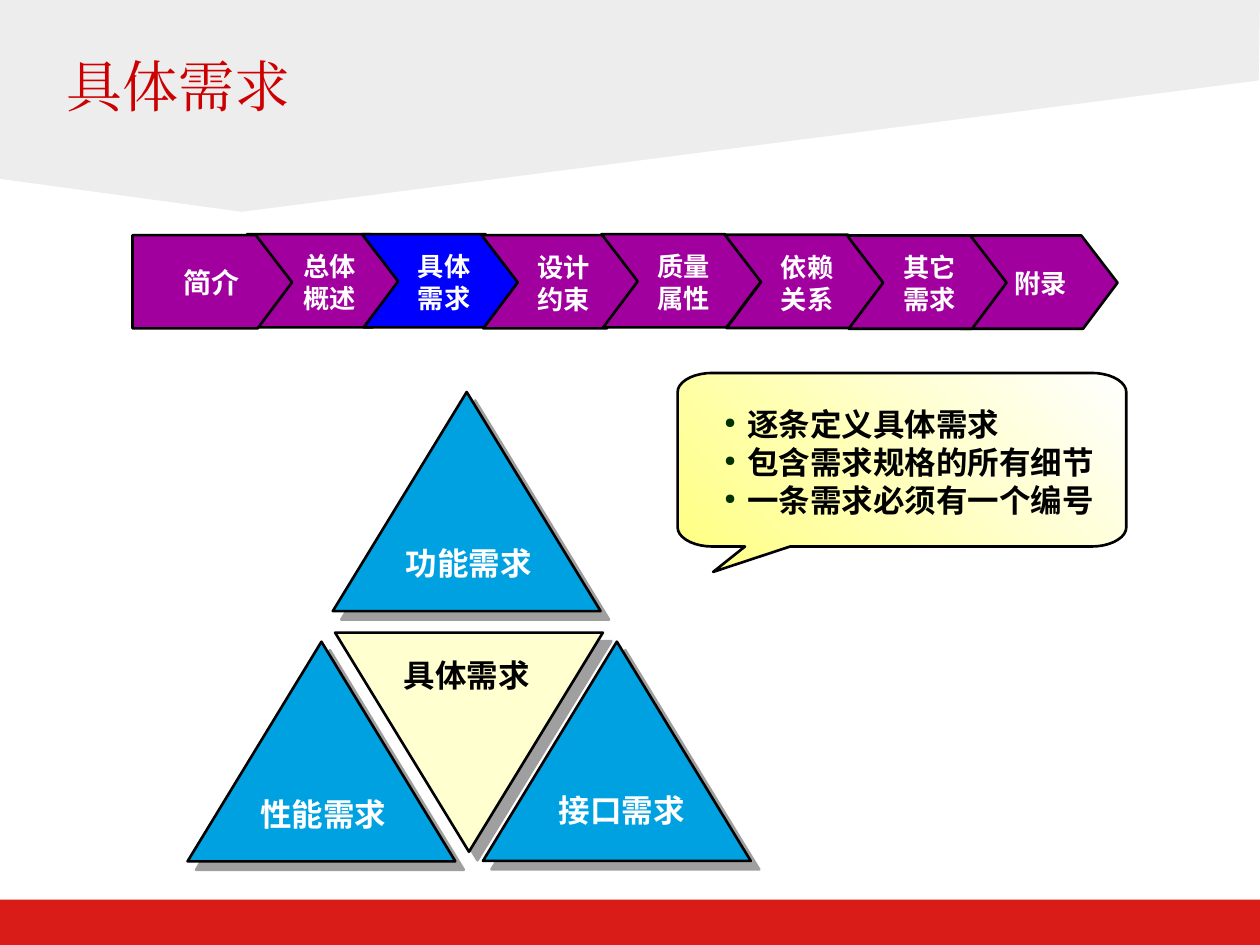
from math import cos, radians, sin

from lxml import etree
from pptx import Presentation
from pptx.dml.color import RGBColor
from pptx.enum.shapes import MSO_SHAPE as Preset
from pptx.enum.text import MSO_ANCHOR as Anchor, PP_ALIGN as Align
from pptx.oxml.ns import qn
from pptx.util import Pt

WHITE = RGBColor(0xFF, 0xFF, 0xFF)
BLACK = RGBColor(0x00, 0x00, 0x00)
RED = RGBColor(0xD9, 0x1C, 0x17)
TITLE_RED = RGBColor(0xCC, 0x00, 0x00)
GREY = RGBColor(0xED, 0xED, 0xEE)
SKY = RGBColor(0x00, 0xA1, 0xE0)
CREAM = RGBColor(0xFF, 0xFF, 0xD0)
PURPLE = RGBColor(0xA1, 0x00, 0x9F)
BLUE = RGBColor(0x00, 0x00, 0xFF)
YELLOW = RGBColor(0xFF, 0xFF, 0x80)
SANS = "Noto Sans CJK SC"
SERIF = "Times New Roman"

deck = Presentation()
deck.slide_width, deck.slide_height = Pt(720), Pt(540)
page = deck.slides.add_slide(deck.slide_layouts[6])


def add_outline(points, color, outlined=True):
    """Draw a closed polygon through points given in points of length."""
    corners = [(Pt(x), Pt(y)) for x, y in points]
    builder = page.shapes.build_freeform(*corners[0], scale=1.0)
    builder.add_line_segments(corners[1:], close=True)
    shape = builder.convert_to_shape()
    shape.shadow.inherit = False
    shape.fill.solid()
    shape.fill.fore_color.rgb = color
    if outlined:
        shape.line.color.rgb = BLACK
        shape.line.width = Pt(1.5)
    else:
        shape.line.fill.background()
    return shape


def add_text(lines, place, size, color, face=SANS, bold=True, align=Align.CENTER,
             anchor=Anchor.MIDDLE, inset=(0, 0), spacing=None, bullet=None):
    box = page.shapes.add_textbox(*map(Pt, place))
    frame = box.text_frame
    across, down = map(Pt, inset)
    frame_format = {"word_wrap": True, "vertical_anchor": anchor,
                    "margin_left": across, "margin_right": across,
                    "margin_top": down, "margin_bottom": down}
    for name, value in frame_format.items():
        setattr(frame, name, value)
    for index, line in enumerate(lines):
        para = frame.add_paragraph() if index else frame.paragraphs[0]
        if bullet:
            props = para._p.get_or_add_pPr()
            props.set("marL", str(Pt(13)))
            props.set("indent", str(Pt(-13)))
            tint = etree.SubElement(props, qn("a:buClr"))
            etree.SubElement(tint, qn("a:srgbClr"), val="003100")
            etree.SubElement(props, qn("a:buSzPct"), val="46000")
            etree.SubElement(props, qn("a:buChar"), char=bullet)
        para.alignment = align
        if spacing:
            para.line_spacing = Pt(spacing)
        span = para.add_run()
        span.text = line
        for name, value in {"size": Pt(size), "bold": bold, "name": face}.items():
            setattr(span.font, name, value)
        span.font.color.rgb = color
        etree.SubElement(span.font._element, qn("a:ea"), typeface=face)


# Backdrop and title
footer = page.shapes.add_shape(Preset.RECTANGLE, 0, Pt(514), Pt(720), Pt(26))
footer.shadow.inherit = False
footer.fill.solid()
footer.fill.fore_color.rgb = RED
footer.line.fill.background()
add_outline([(0, 0), (720, 0), (719.3, 46), (138.2, 121), (0, 102.2)], GREY, outlined=False)
add_text(["具体需求"], (31, 26, 545, 67.7), 32, TITLE_RED, face=SERIF, bold=False,
         align=Align.LEFT, anchor=Anchor.TOP, inset=(7.2, 3.6))

# Triangles: label, left, base, apex, fill, text colour, label left, label middle
triangles = [
    ("功能需求", 190.2, 349.2, 224, SKY, WHITE, 224.3, 321.5),
    ("具体需求", 191.5, 361.5, 486.7, CREAM, BLACK, 223.2, 385.6),
    ("性能需求", 107.2, 492.2, 366.7, SKY, WHITE, 141.1, 465.1),
    ("接口需求", 276, 492, 366.7, SKY, WHITE, 311.8, 462.6),
]
for label, left, base, apex, fill, ink, text_left, middle in triangles:
    triangle = add_outline([(left + 76.5, apex), (left, base), (left + 153, base)], fill)
    effects = triangle._element.spPr.find(qn("a:effectLst"))
    shadow = etree.SubElement(effects, qn("a:outerShdw"), blurRad="0", dist=str(Pt(6.9)),
                              dir="2700000", algn="ctr", rotWithShape="0")
    shade = etree.SubElement(shadow, qn("a:srgbClr"), val="404040")
    etree.SubElement(shade, qn("a:alpha"), val="50000")
    add_text([label], (text_left, middle - 14.75, 87, 29.5), 18, ink)

# Chapter arrows, from back to front
chevron = [(0, 0), (70.5, 0), (91.2, 27), (71.5, 53.3), (1, 53.3), (20.7, 27)]
pentagon = [(0, 0), (70.5, 0), (91.2, 27), (71.5, 53.3), (0, 53.3)]
chapters = [
    ("总体概述", 141.3, 133.8, PURPLE), ("具体需求", 206.8, 133.8, BLUE),
    ("设计约束", 275.2, 134.4, PURPLE), ("质量属性", 343.7, 133.8, PURPLE),
    ("简介", 75.7, 134.4, PURPLE), ("附录", 547.4, 134.6, PURPLE),
    ("依赖关系", 414.2, 134.2, PURPLE), ("其它需求", 484, 134.6, PURPLE),
]
for label, left, top, fill in chapters:
    first = label == "简介"
    add_outline([(left + x, top + y) for x, y in (pentagon if first else chevron)], fill)
    add_text([label], (left + (24.5 if first else 26.3), top + 8, 41.4, 38.5),
             16 if first else 15, WHITE, spacing=18.3)

# Callout with elliptical corners and a tail
left, top, right, bottom = 387.2, 213.1, 643.6, 312.3
radius_x, radius_y = 20, 11
corners = [(right - radius_x, bottom - radius_y, 0), (left + radius_x, bottom - radius_y, 90),
           (left + radius_x, top + radius_y, 180), (right - radius_x, top + radius_y, 270)]
arcs = [[(x + radius_x * cos(radians(start + step)), y + radius_y * sin(radians(start + step)))
         for step in range(0, 91, 10)] for x, y, start in corners]
tail = [(451.5, bottom), (407.5, 326.8), (425.7, bottom)]
callout = add_outline(arcs[0] + tail + arcs[1] + arcs[2] + arcs[3], YELLOW)
callout.fill.gradient()
callout.fill.gradient_angle = 225
for stop, color in zip(callout.fill.gradient_stops, (WHITE, YELLOW)):
    stop.color.rgb = color
add_text(["逐条定义具体需求", "包含需求规格的所有细节", "一条需求必须有一个编号"],
         (414, 224, 219, 80), 18, BLACK, align=Align.LEFT, spacing=21.7, bullet="●")

deck.save("out.pptx")
